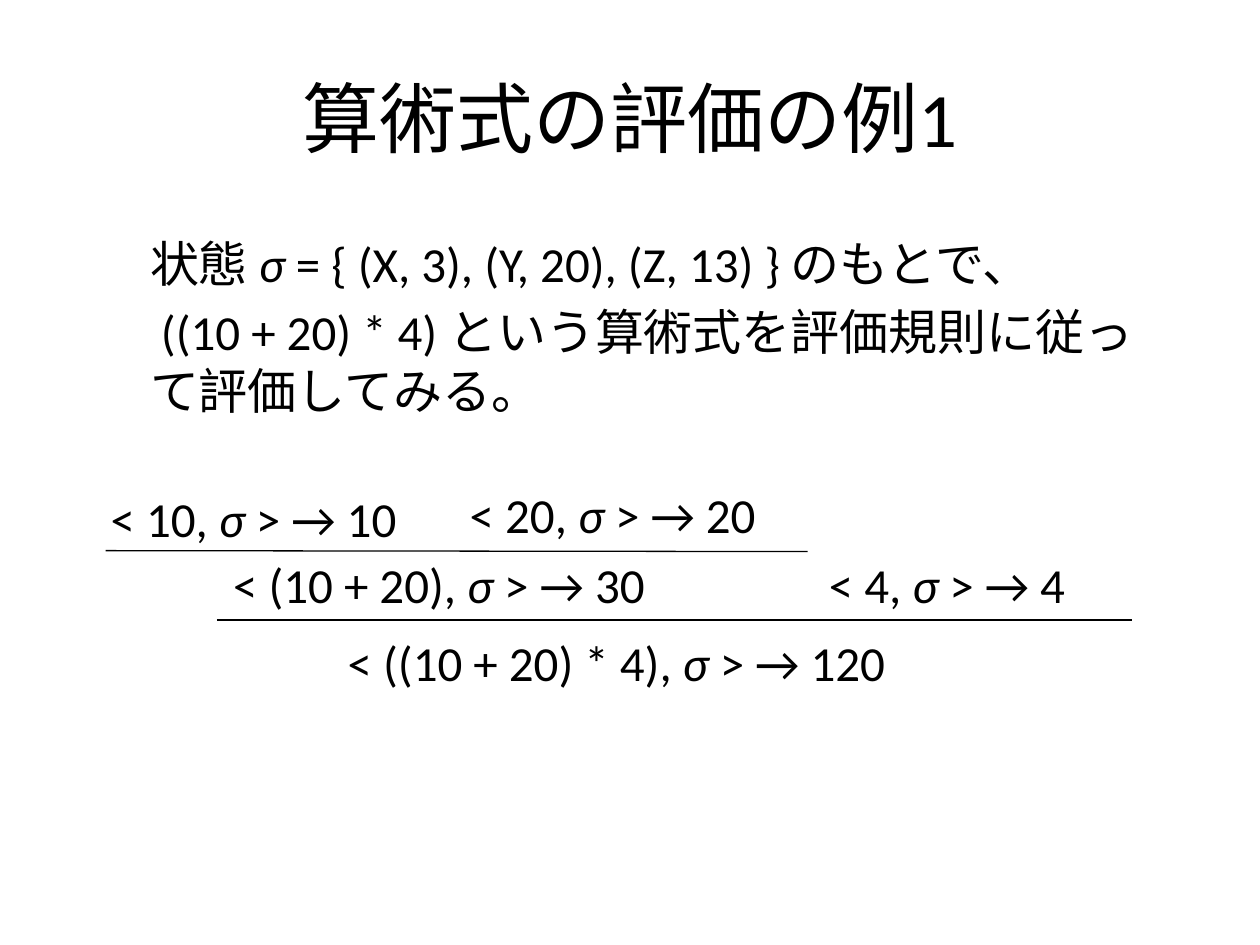
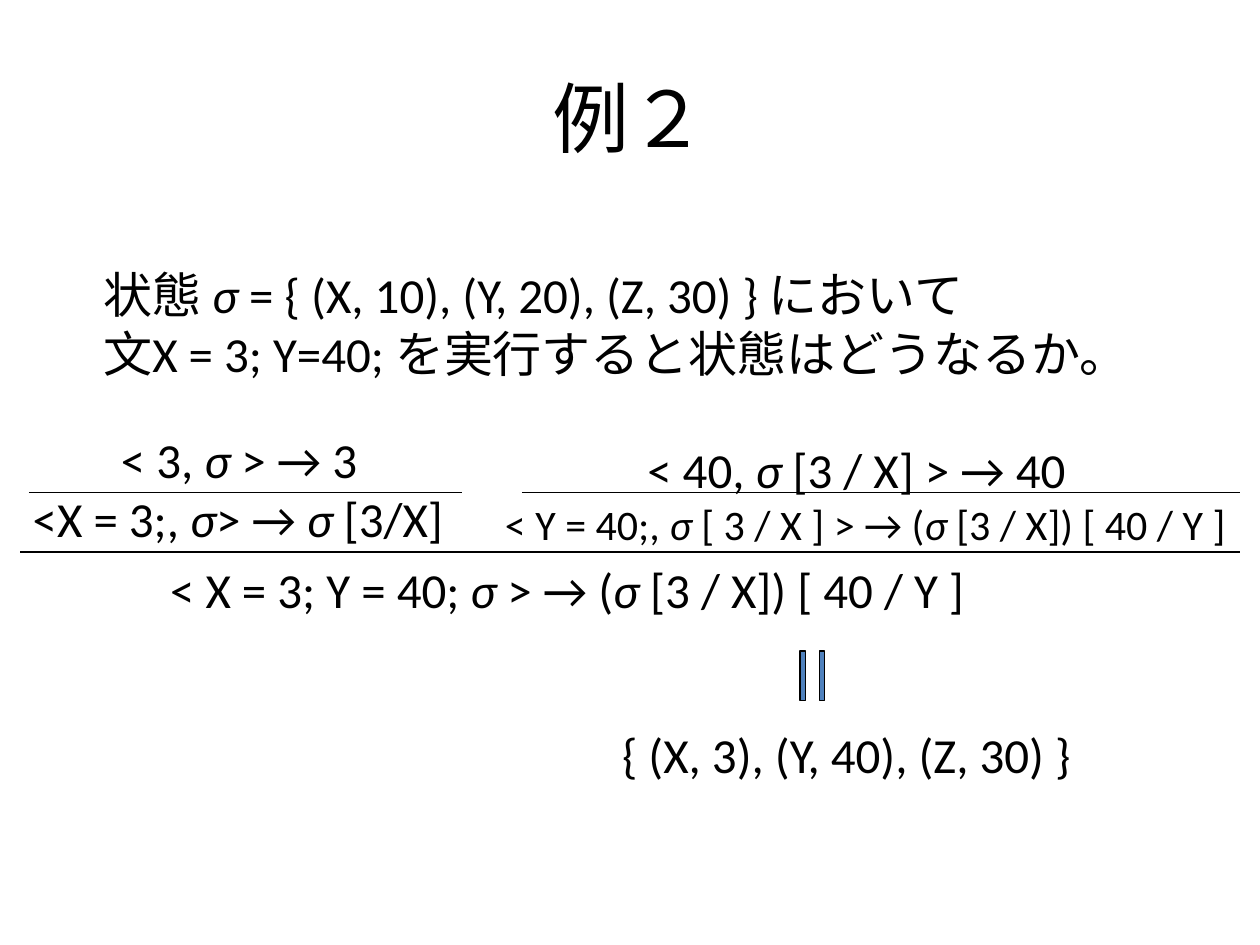
from dataclasses import dataclass
from itertools import groupby

from lxml import etree
from pptx import Presentation
from pptx import util as u
from pptx.dml.color import RGBColor
from pptx.enum import shapes, text
from pptx.oxml.ns import qn

COLORS = {"ink": "000000", "equals": "4F81BD"}
FONT = "Calibri"
TITLE_SIZE, BODY_SIZE, SMALL_SIZE = 44, 28, 24
RULE_WIDTH = 0.75
ROW = 1.45  # height of a one-line formula
FRAME_FORMAT = {"word_wrap": True, "auto_size": text.MSO_AUTO_SIZE.NONE}


@dataclass
class Line:
    words: str
    size: int = BODY_SIZE
    first_indent: float = 0  # cm
    before: float = 0  # points


@dataclass
class Passage:
    left: float
    top: float
    width: float
    height: float
    lines: list[Line]


@dataclass
class Rule:
    x1: float
    y1: float
    x2: float
    y2: float


@dataclass
class Example:
    title: str
    state: Passage
    formulas: list[Passage]
    rules: list[Rule]


def color(name: str) -> RGBColor:
    return RGBColor.from_string(COLORS[name])


def set_attributes(target, values: dict) -> None:
    for key, value in values.items():
        setattr(target, key, value)


def place(shape, left: float, top: float, width: float, height: float) -> None:
    set_attributes(shape, {"left": u.Cm(left), "top": u.Cm(top),
                           "width": u.Cm(width), "height": u.Cm(height)})


def write_runs(paragraph, words: str, size: int) -> None:
    """Write the words, with every σ in italics."""
    for is_sigma, letters in groupby(words, key=lambda letter: letter == "σ"):
        run = paragraph.add_run()
        run.text = "".join(letters)
        set_attributes(run.font, {"name": FONT, "size": u.Pt(size), "italic": is_sigma})
        run.font.color.rgb = color("ink")


def write_passage(shape, passage: Passage) -> None:
    place(shape, passage.left, passage.top, passage.width, passage.height)
    frame = shape.text_frame
    set_attributes(frame, FRAME_FORMAT)
    for number, line in enumerate(passage.lines):
        paragraph = frame.add_paragraph() if number else frame.paragraphs[0]
        properties = paragraph._p.get_or_add_pPr()
        properties.set("marL", "0")
        properties.set("indent", str(int(u.Cm(line.first_indent))))
        etree.SubElement(properties, qn("a:buNone"))
        paragraph.space_before = u.Pt(line.before)
        write_runs(paragraph, line.words, line.size)


def draw_rule(slide, rule: Rule) -> None:
    line = slide.shapes.add_connector(
        shapes.MSO_CONNECTOR.STRAIGHT,
        u.Cm(rule.x1), u.Cm(rule.y1), u.Cm(rule.x2), u.Cm(rule.y2))
    line.line.color.rgb = color("ink")
    line.line.width = u.Pt(RULE_WIDTH)
    etree.SubElement(line._element.spPr, qn("a:effectLst"))


def draw_equals(slide) -> None:
    """Upright equals sign between the final state and its value."""
    equals = slide.shapes.add_shape(shapes.MSO_SHAPE.MATH_EQUAL, 0, 0, 0, 0)
    place(equals, 15.7, 13.11, 1.35, 1.02)
    equals.rotation = 270
    equals.adjustments[0], equals.adjustments[1] = 0.1, 0.28
    equals.shadow.inherit = False
    equals.fill.solid()
    equals.fill.fore_color.rgb = color("equals")
    equals.line.color.rgb = color("ink")
    equals.line.width = u.Pt(RULE_WIDTH)


def build_example(deck, example: Example):
    slide = deck.slides.add_slide(deck.slide_layouts[1])
    title, state = slide.placeholders
    place(title, 1.27, 0.76, 22.86, 3.18)
    title.text_frame.vertical_anchor = text.MSO_ANCHOR.MIDDLE
    heading = title.text_frame.paragraphs[0]
    heading.alignment = text.PP_ALIGN.CENTER
    write_runs(heading, example.title, TITLE_SIZE)
    write_passage(state, example.state)
    for formula in example.formulas:
        write_passage(slide.shapes.add_textbox(0, 0, 0, 0), formula)
    for rule in example.rules:
        draw_rule(slide, rule)
    return slide


# Evaluating an arithmetic expression
ARITHMETIC = Example(
    "算術式の評価の例1",
    Passage(2.77, 4.57, 20.62, 3.84, [
        Line("状態 σ = { (X, 3), (Y, 20), (Z, 13) } のもとで、"),
        Line("((10 + 20) * 4) という算術式を評価規則に従って評価してみる。",
             first_indent=0.22, before=5.6),
    ]),
    [
        Passage(1.98, 9.73, 6.8, ROW, [Line("< 10, σ > → 10")]),
        Passage(9.22, 9.65, 6.8, ROW, [Line("< 20, σ > → 20")]),
        Passage(4.45, 11.05, 10, ROW, [Line("< (10 + 20), σ > → 30")]),
        Passage(16.46, 11.05, 6.5, ROW, [Line("< 4, σ > → 4")]),
        Passage(6.76, 12.62, 12.8, ROW, [Line("< ((10 + 20) * 4), σ > → 120")]),
    ],
    [Rule(2.13, 11.1, 16.28, 11.12), Rule(4.37, 12.5, 22.81, 12.5)],
)

# Running two assignments in sequence
ASSIGNMENTS = Example(
    "例２",
    Passage(1.83, 5.21, 21.29, 2.64, [
        Line("状態 σ = { (X, 10), (Y, 20), (Z, 30) } において"),
        Line("文X = 3; Y=40; を実行すると状態はどうなるか。"),
    ]),
    [
        Passage(0.41, 8.53, 9.32, 2.64, [
            Line("< 3, σ > → 3", first_indent=1.78),
            Line("<X = 3;, σ> → σ [3/X]"),
        ]),
        Passage(9.93, 8.74, 15.4, 2.49, [
            Line("< 40, σ [3 / X] > → 40", first_indent=2.87),
            Line("< Y = 40;, σ [ 3 / X ] > → (σ [3 / X]) [ 40 / Y ]", SMALL_SIZE),
        ]),
        Passage(3.18, 11.15, 17.35, ROW, [
            Line("< X = 3; Y = 40; σ > → (σ [3 / X]) [ 40 / Y ]")]),
        Passage(12.29, 14.48, 11.07, ROW, [Line("{ (X, 3), (Y, 40), (Z, 30) }")]),
    ],
    [Rule(0.58, 9.93, 9.32, 9.93), Rule(10.52, 9.93, 25, 9.93),
     Rule(0.41, 11.13, 25, 11.13)],
)


def main() -> None:
    deck = Presentation()
    deck.slide_width, deck.slide_height = u.Cm(25.4), u.Cm(19.05)
    build_example(deck, ARITHMETIC)
    draw_equals(build_example(deck, ASSIGNMENTS))
    deck.save("out.pptx")


if __name__ == "__main__":
    main()
